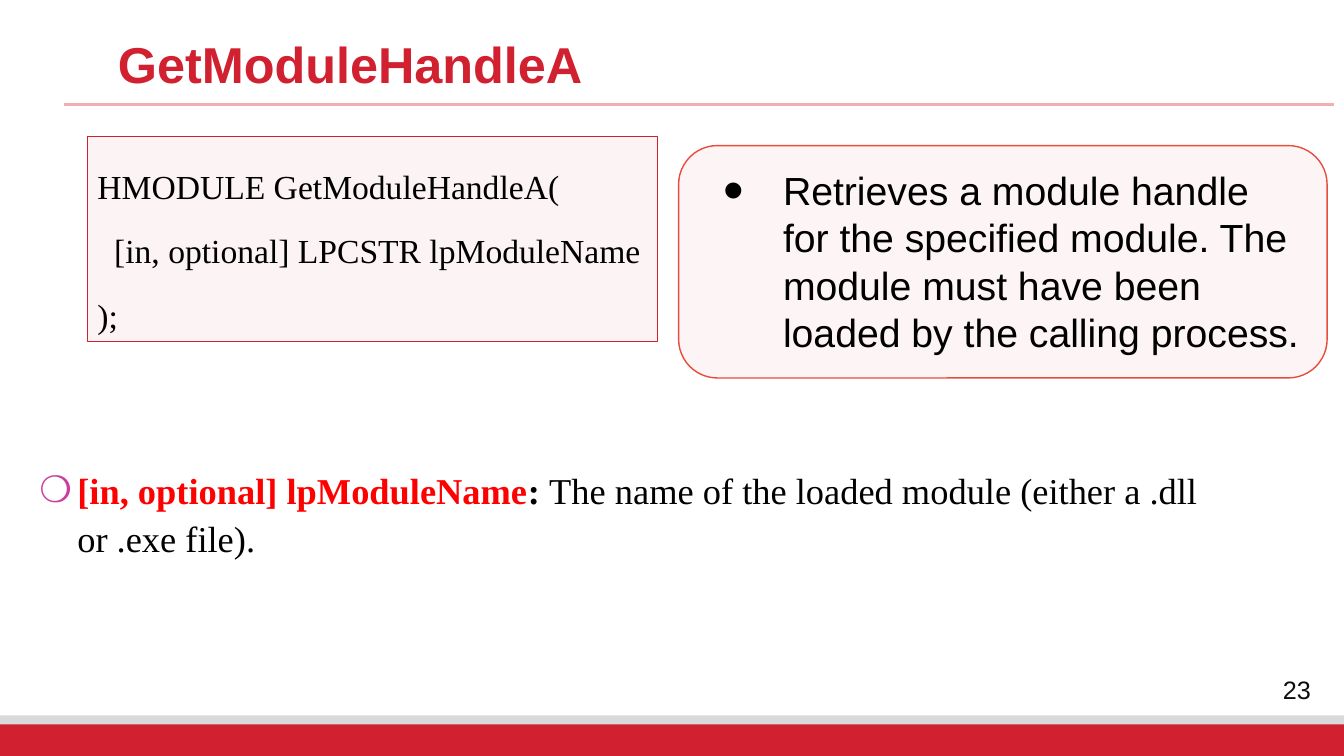
from lxml.etree import SubElement
from pptx import Presentation
from pptx.dml.color import RGBColor
from pptx.enum.shapes import MSO_CONNECTOR as Connector, MSO_SHAPE as Shape
from pptx.enum.text import MSO_ANCHOR as Anchor, MSO_AUTO_SIZE as AutoSize, PP_ALIGN as Align
from pptx.oxml.ns import qn
from pptx.util import Pt

COLORS = {"red": "D1202F", "coral": "E74C3C", "divider": "F0B0B0", "gray": "D9D9D9",
          "black": "000000", "ink": "0D0D0D", "accent": "FF0000", "bullet": "CA3E9D"}
SANS, SERIF = "Arial", "Times New Roman"
WIDTH, HEIGHT = 960, 540


def color(name):
    return RGBColor.from_string(COLORS[name])


def place(shape, box):
    shape.left, shape.top, shape.width, shape.height = map(Pt, box)


def add_panel(shapes, kind, box, fill, line=None, line_width=1, opacity=100):
    panel = shapes.add_shape(kind, *map(Pt, box))
    panel.shadow.inherit = False
    panel.fill.solid()
    panel.fill.fore_color.rgb = color(fill)
    if opacity < 100:
        tint = panel.fill._xPr.find(qn("a:solidFill"))[0]
        SubElement(tint, qn("a:alpha"), val=str(opacity * 1000))
    if line:
        panel.line.color.rgb = color(line)
        panel.line.width = Pt(line_width)
    else:
        panel.line.fill.background()
    return panel


def set_frame(shape, anchor=Anchor.TOP):
    frame = shape.text_frame
    frame.word_wrap = True
    frame.auto_size = AutoSize.NONE
    frame.vertical_anchor = anchor
    return frame


def add_run(para, text, size, font, tone="black", bold=False):
    span = para.add_run()
    span.text = text
    span.font.size, span.font.name, span.font.bold = Pt(size), font, bold
    span.font.color.rgb = color(tone)


def set_bullet(para, mark, left, hanging, tone=None, percent=100):
    props = para._p.get_or_add_pPr()
    props.set("marL", str(Pt(left)))
    props.set("indent", str(-Pt(hanging)))
    if tone:
        SubElement(SubElement(props, qn("a:buClr")), qn("a:srgbClr"), val=COLORS[tone])
    SubElement(props, qn("a:buSzPct"), val=str(percent * 1000))
    SubElement(props, qn("a:buFont"), typeface=SANS)
    SubElement(props, qn("a:buChar"), char=mark)


def add_footer(page, box, number):
    left, top, width, height = box
    # Gray strip above the red band
    add_panel(page.shapes, Shape.RECTANGLE, box, "gray")
    add_panel(page.shapes, Shape.RECTANGLE, (left, top + 6.5, width, height - 6.5), "red")
    # Page number
    label = page.shapes.add_textbox(*map(Pt, (left + width - 66.5, top - 32.4, 65.5, 28)))
    para = set_frame(label, Anchor.MIDDLE).paragraphs[0]
    para.alignment = Align.CENTER
    add_run(para, number, 18, SANS, "ink")


def add_title(page, box, text):
    title = page.shapes.title
    place(title, box)
    frame = set_frame(title)
    para = frame.paragraphs[0]
    para.alignment = Align.LEFT
    para.line_spacing = 0.9
    para.space_before = Pt(0)
    add_run(para, text, 36, SANS, "red", True)
    # Divider under the title
    left, top, width, height = box
    rule_y = top + height + 15
    rule = page.shapes.add_connector(Connector.STRAIGHT, Pt(left - 31), Pt(rule_y),
                                     Pt(left + width + 57.5), Pt(rule_y))
    rule.line.color.rgb = color("divider")
    rule.line.width = Pt(2.25)
    SubElement(rule._element.spPr, qn("a:effectLst"))


def add_code(page, box, lines):
    panel = add_panel(page.shapes, Shape.RECTANGLE, box, "red", "red", 0.75, opacity=5)
    frame = set_frame(panel)
    for index, line in enumerate(lines):
        para = frame.add_paragraph() if index else frame.paragraphs[0]
        para.alignment = Align.LEFT
        para.line_spacing = 1.6
        add_run(para, line, 24, SERIF)


def add_summary(page, box, text):
    left, top, width, height = box
    group = page.shapes.add_group_shape()
    add_panel(group.shapes, Shape.ROUNDED_RECTANGLE, box, "coral", "coral", opacity=5)
    inner = (left + 10.5, top + 11.5, width - 21, height - 23.5)
    para = set_frame(group.shapes.add_textbox(*map(Pt, inner))).paragraphs[0]
    set_bullet(para, "•", 57, 42.5, percent=150)
    add_run(para, text, 28, SANS)


def add_parameter(page, box, name, meaning):
    body = page.placeholders[1]
    place(body, box)
    frame = set_frame(body)
    frame.margin_right = Pt(70)
    para = frame.paragraphs[0]
    para.line_spacing = 1.1
    para.space_before, para.space_after = Pt(0), Pt(10)
    set_bullet(para, "❍", 27, 27, "bullet")
    add_run(para, name, 26, SERIF, "accent", True)
    add_run(para, ": ", 26, SERIF, bold=True)
    add_run(para, meaning, 26, SERIF)


def main():
    deck = Presentation()
    deck.slide_width, deck.slide_height = Pt(WIDTH), Pt(HEIGHT)
    page = deck.slides.add_slide(deck.slide_layouts[1])
    add_footer(page, (0, 511, WIDTH, 29), "23")
    add_title(page, (77, 25, 818.5, 34.5), "GetModuleHandleA")
    add_parameter(page, (21, 327.5, 918, 134), "[in, optional] lpModuleName",
                  "The name of the loaded module (either a .dll or .exe file).")
    add_code(page, (62.5, 97.5, 407, 146.5),
             ["HMODULE GetModuleHandleA(", "  [in, optional] LPCSTR lpModuleName", ");"])
    add_summary(page, (484.75, 104, 463.25, 166),
                "Retrieves a module handle for the specified module. The module must have "
                "been loaded by the calling process.")
    deck.save("out.pptx")


if __name__ == "__main__":
    main()
